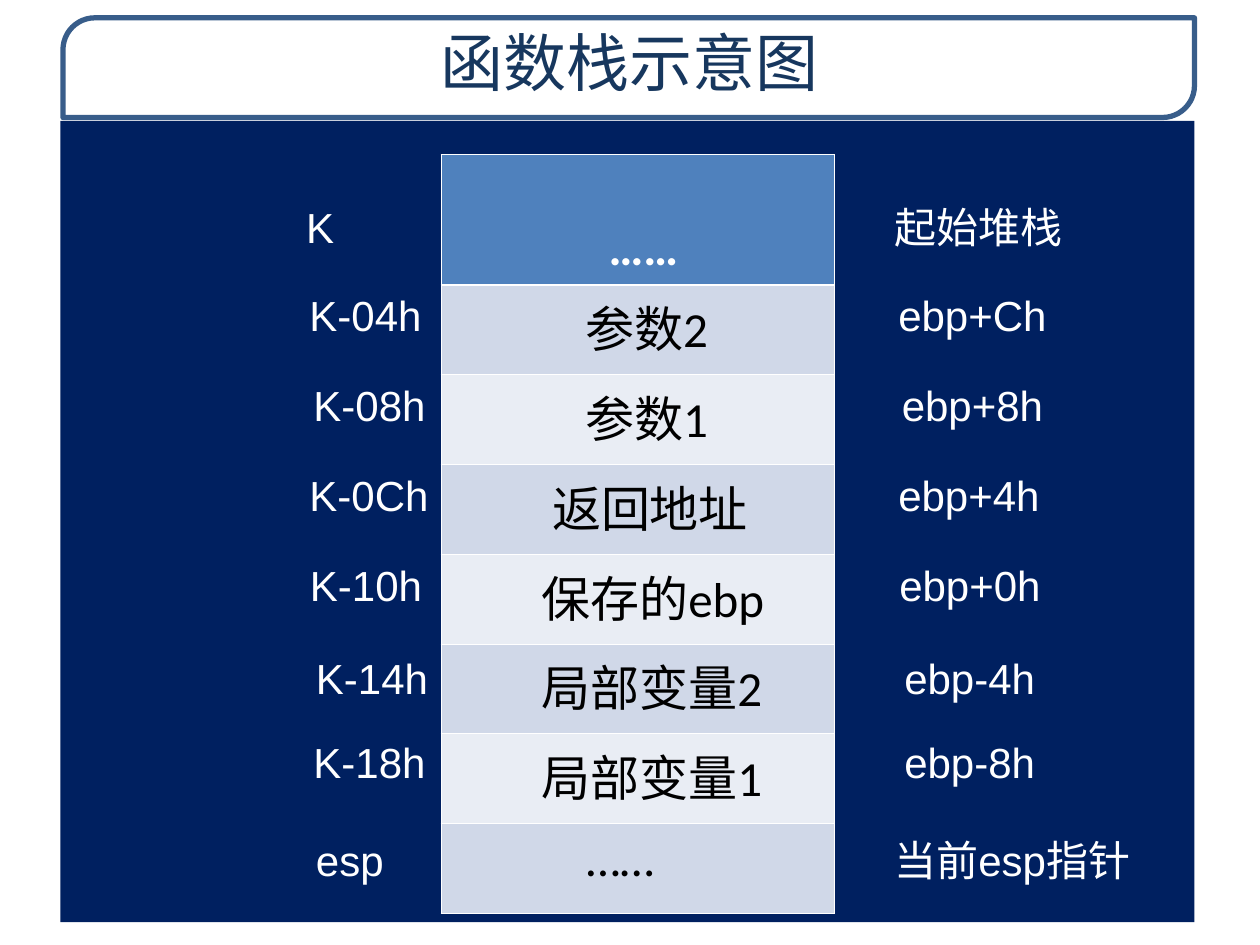
"""Build a slide that shows the layout of a function's stack frame."""
from lxml import etree
from pptx import Presentation
from pptx import util as u
from pptx.dml.color import RGBColor
from pptx.enum import shapes, text
from pptx.oxml.ns import qn


def paint(fill, colour):
    fill.solid()
    fill.fore_color.rgb = RGBColor.from_string(colour)


def write(frame, words, size, face, colour, bold=False):
    para = frame.paragraphs[0]
    para.text = words
    para.font.size = u.Pt(size)
    para.font.name = face
    para.font.bold = bold
    paint(para.font.fill, colour)
    return para


deck = Presentation()
deck.slide_width, deck.slide_height = u.Cm(25.4), u.Cm(19.05)
page = deck.slides.add_slide(deck.slide_layouts[6])

title_frame = page.shapes.add_shape(
    shapes.MSO_SHAPE.ROUND_2_DIAG_RECTANGLE, u.Cm(1.27), u.Cm(0.36), u.Cm(22.81), u.Cm(2.01))
title_frame.adjustments[0] = 0.32
title_frame.adjustments[1] = 0
title_frame.shadow.inherit = False
paint(title_frame.fill, "FFFFFF")
white = title_frame._element.spPr.find(qn("a:solidFill"))[0]
etree.SubElement(white, qn("a:alpha"), val="85000")
paint(title_frame.line.fill, "385D8A")
title_frame.line.width = u.Pt(3)

panel = page.shapes.add_shape(
    shapes.MSO_SHAPE.RECTANGLE, u.Cm(1.22), u.Cm(2.44), u.Cm(22.86), u.Cm(16.15))
panel.shadow.inherit = False
paint(panel.fill, "002060")
panel.line.fill.background()

title = page.shapes.add_textbox(u.Cm(1.3), u.Cm(0.28), u.Cm(22.78), u.Cm(1.93))
title.text_frame.word_wrap = True
title.text_frame.vertical_anchor = text.MSO_ANCHOR.MIDDLE
heading = write(title.text_frame, "函数栈示意图", 36, "Noto Sans CJK SC", "17375E")
heading.alignment = text.PP_ALIGN.CENTER

slots = [("……", 3.38), ("参数2", 2.91), ("参数1", 2.91), ("返回地址", 2.24),
         ("保存的ebp", 2.03), ("局部变量2", 2.03), ("局部变量1", 2.03), ("……", 2.93)]
stack = page.shapes.add_table(
    len(slots), 1, u.Cm(8.89), u.Cm(3.12), u.Cm(7.92), u.Cm(15.27)).table
for index, (words, indent) in enumerate(slots):
    header = index == 0
    stack.rows[index].height = u.Cm(2.62 if header else 1.81)
    cell = stack.cell(index, 0)
    cell.margin_left = u.Cm(indent)
    cell.vertical_anchor = text.MSO_ANCHOR.BOTTOM if header else text.MSO_ANCHOR.TOP
    write(cell.text_frame, words, 28, "Calibri", "FFFFFF" if header else "000000", header)
    for side in "LRTB":
        thick = (index, side) in [(0, "B"), (1, "T")]
        border = etree.SubElement(cell._tc.get_or_add_tcPr(), qn(f"a:ln{side}"),
                                  w=str(u.Pt(1.47 if thick else 0.45)))
        border_fill = etree.SubElement(border, qn("a:solidFill"))
        etree.SubElement(border_fill, qn("a:srgbClr"), val="FFFFFF")
    paint(cell.fill, "4F81BD" if header else ("E9EDF4", "D0D8E8")[index % 2])

tops = [3.94, 5.72, 7.52, 9.35, 11.15, 13.03, 14.73, 16.69]
addresses = [("K", 5.92, 1.07), ("K-04h", 5.99, 2.77), ("K-08h", 6.07, 2.77),
             ("K-0Ch", 5.99, 2.9), ("K-10h", 6, 2.77), ("K-14h", 6.12, 2.77),
             ("K-18h", 6.07, 2.77), ("esp", 6.12, 1.88)]
pointers = [("起始堆栈", 17.78, 3.89), ("ebp+Ch", 17.86, 3.6), ("ebp+8h", 17.93, 3.35),
            ("ebp+4h", 17.86, 3.35), ("ebp+0h", 17.88, 3.35), ("ebp-4h", 17.98, 3.15),
            ("ebp-8h", 17.98, 3.15), ("当前esp指针", 17.78, 5.66)]
for column in (addresses, pointers):
    for top, (words, left, width) in zip(tops, column):
        box = page.shapes.add_textbox(u.Cm(left), u.Cm(top), u.Cm(width), u.Cm(1.27))
        box.text_frame.word_wrap = False
        box.text_frame.auto_size = text.MSO_AUTO_SIZE.SHAPE_TO_FIT_TEXT
        write(box.text_frame, words, 24, "Arial", "FFFFFF")

deck.save("out.pptx")
